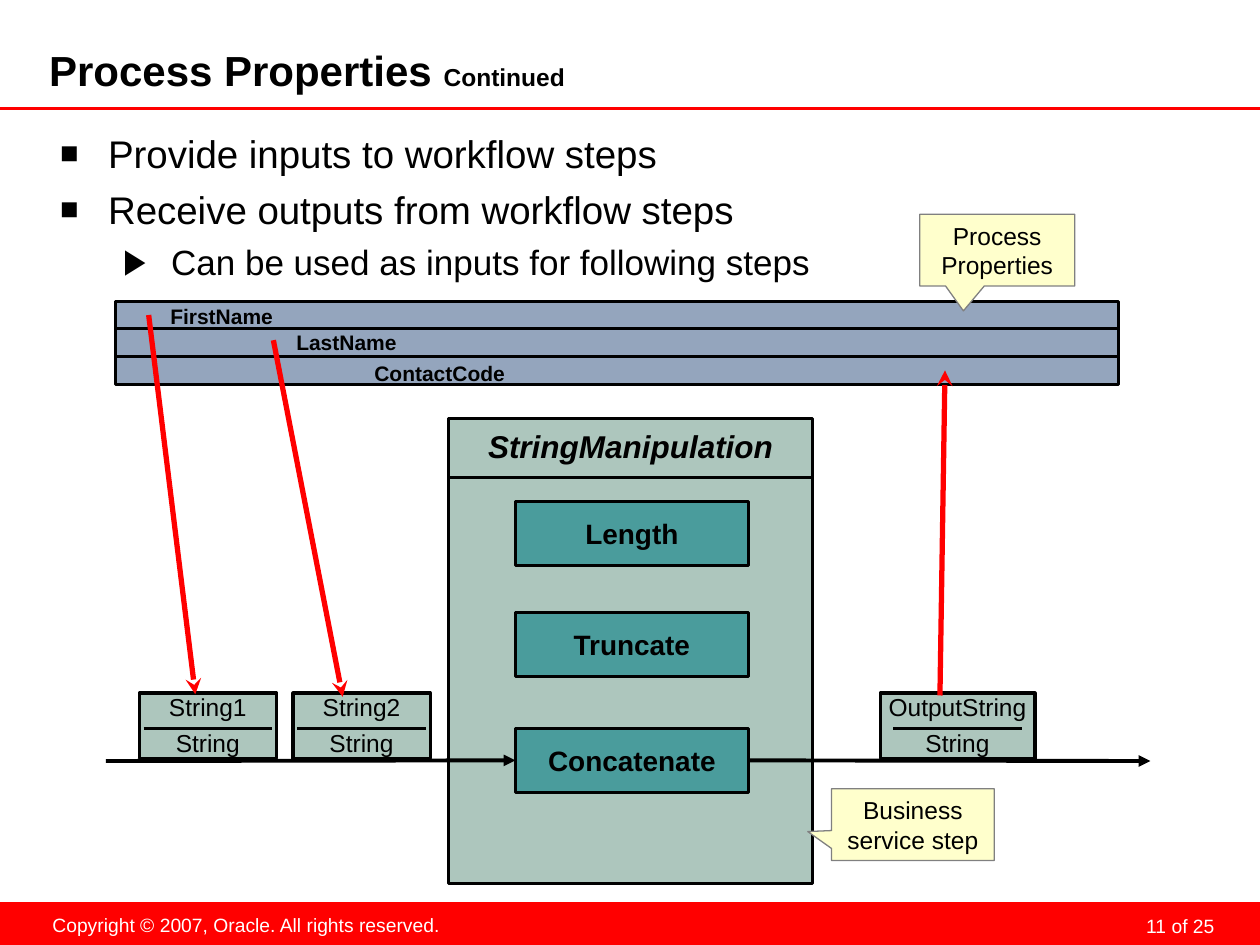
from dataclasses import dataclass

from lxml import etree
from pptx import Presentation
from pptx.dml.color import RGBColor
from pptx.enum.shapes import MSO_CONNECTOR, MSO_SHAPE
from pptx.enum.text import MSO_ANCHOR, PP_ALIGN
from pptx.oxml.ns import qn
from pptx.util import Inches, Pt

RECTANGLE = MSO_SHAPE.RECTANGLE
CALLOUT = MSO_SHAPE.RECTANGULAR_CALLOUT
STRAIGHT = MSO_CONNECTOR.STRAIGHT
LEFT, CENTER, RIGHT = PP_ALIGN.LEFT, PP_ALIGN.CENTER, PP_ALIGN.RIGHT
TOP, MIDDLE = MSO_ANCHOR.TOP, MSO_ANCHOR.MIDDLE

FONT = "Arial"
BLACK, WHITE, RED = "000000", "FFFFFF", "FF0000"
BLUE, SAGE, TEAL = "94A5BD", "ADC6BD", "4A9C9C"
CREAM, GRAY = "FFFFCC", "808080"
LEFT_SIDE, RIGHT_SIDE = 1, 3


@dataclass
class Bullet:
    text: str
    size: float
    indent: float
    level: int
    mark: str
    mark_percent: int
    space_before: float


@dataclass
class ProcessProperty:
    name: str
    label_center: float
    label_top: float


@dataclass
class Variable:
    name: str
    center: float
    width: float


@dataclass
class Callout:
    text: str
    box: tuple[float, float, float, float]
    tip: tuple[float, float]


BULLETS = [
    Bullet("Provide inputs to workflow steps", 22, 0.38, 0, "■", 80, 0),
    Bullet("Receive outputs from workflow steps", 22, 0.38, 0, "■", 80, 5.5),
    Bullet("Can be used as inputs for following steps", 20, 0.88, 1, "▶", 100, 5),
]
PROPERTIES = [
    ProcessProperty("FirstName", 1.76, 2.36),
    ProcessProperty("LastName", 2.75, 2.57),
    ProcessProperty("ContactCode", 3.49, 2.81),
]
OPERATIONS = {"Length": 3.98, "Truncate": 4.86, "Concatenate": 5.78}
VARIABLES = [
    Variable("String1", 1.65, 1.09),
    Variable("String2", 2.87, 1.09),
    Variable("OutputString", 7.6, 1.23),
]
MAPPINGS = [
    ((1.18, 2.5), (1.55, 5.51)),
    ((2.17, 2.7), (2.72, 5.53)),
    ((7.46, 5.52), (7.5, 2.94)),
]
CALLOUTS = [
    Callout("Business service step", (6.6, 6.26, 1.29, 0.57), (-0.647, 0.097)),
    Callout("Process Properties", (7.3, 1.7, 1.23, 0.57), (-0.218, 0.847)),
]


def color(value: str) -> RGBColor:
    return RGBColor.from_string(value)


def style_font(font, size: float, ink: str = BLACK, bold: bool = False, italic: bool = False) -> None:
    font.name = FONT
    font.size = Pt(size)
    font.bold = bold
    font.italic = italic
    font.color.rgb = color(ink)


def set_insets(frame, left: float, top: float, right: float, bottom: float) -> None:
    frame.margin_left, frame.margin_top = Inches(left), Inches(top)
    frame.margin_right, frame.margin_bottom = Inches(right), Inches(bottom)


def write(frame, text: str, size: float, align=CENTER, **style) -> None:
    frame.word_wrap = True
    frame.text = text
    paragraph = frame.paragraphs[0]
    paragraph.alignment = align
    style_font(paragraph.runs[0].font, size, **style)


def add_label(slide, text: str, box: tuple, size: float, align=CENTER, **style):
    label = slide.shapes.add_textbox(*map(Inches, box))
    write(label.text_frame, text, size, align, **style)
    return label


def add_box(slide, box: tuple, fill: str, line: str = BLACK, weight: float = 1.75, kind=RECTANGLE):
    shape = slide.shapes.add_shape(kind, *map(Inches, box))
    shape.shadow.inherit = False
    shape.fill.solid()
    shape.fill.fore_color.rgb = color(fill)
    shape.line.color.rgb = color(line)
    shape.line.width = Pt(weight)
    return shape


def add_line(slide, start: tuple, end: tuple, ink: str = BLACK, weight: float = 1.75, head: str = ""):
    line = slide.shapes.add_connector(STRAIGHT, *map(Inches, (*start, *end)))
    line.line.color.rgb = color(ink)
    line.line.width = Pt(weight)
    if head:
        etree.SubElement(line.line._get_or_add_ln(), qn("a:tailEnd"), type=head)
    etree.SubElement(line._element.spPr, qn("a:effectLst"))
    return line


def add_bullet(paragraph, bullet: Bullet) -> None:
    paragraph.text = bullet.text
    paragraph.level = bullet.level
    properties = paragraph._p.get_or_add_pPr()
    properties.set("marL", str(Inches(bullet.indent)))
    properties.set("indent", str(Inches(-0.38)))
    mark_color = etree.SubElement(properties, qn("a:buClr"))
    etree.SubElement(mark_color, qn("a:srgbClr"), val=BLACK)
    etree.SubElement(properties, qn("a:buSzPct"), val=str(bullet.mark_percent * 1000))
    etree.SubElement(properties, qn("a:buFont"), typeface=FONT)
    etree.SubElement(properties, qn("a:buChar"), char=bullet.mark)
    paragraph.space_before = Pt(bullet.space_before)
    style_font(paragraph.runs[0].font, bullet.size)


def add_frame(slide) -> None:
    footer = add_box(slide, (0, 7.16, 10, 0.34), RED)
    footer.line.fill.background()
    number = add_label(slide, "11 of 25", (7.36, 7.19, 2.33, 0.25), 11, RIGHT, ink=WHITE)
    set_insets(number.text_frame, 0.05, 0, 0.05, 0)
    number.text_frame.paragraphs[0].line_spacing = Pt(18)
    notice = "Copyright © 2007, Oracle. All rights reserved."
    add_label(slide, notice, (0.31, 7.2, 3.29, 0.29), 11, ink=WHITE).text_frame.word_wrap = False
    add_line(slide, (0, 0.86), (10, 0.86), RED)


def add_heading(slide) -> None:
    title = add_label(slide, "Process Properties ", (0.39, 0.38, 7.87, 0.4), 24, LEFT, bold=True)
    title.text_frame.vertical_anchor = MIDDLE
    set_insets(title.text_frame, 0, 0, 0.05, 0.05)
    suffix = title.text_frame.paragraphs[0].add_run()
    suffix.text = "Continued"
    style_font(suffix.font, 14, bold=True)

    body = slide.shapes.add_textbox(*map(Inches, (0.38, 0.93, 9.3, 6.18))).text_frame
    body.word_wrap = True
    body.vertical_anchor = TOP
    set_insets(body, 0.1, 0.1, 0.1, 0.05)
    for index, bullet in enumerate(BULLETS):
        add_bullet(body.add_paragraph() if index else body.paragraphs[0], bullet)


def add_variable(slide, variable: Variable) -> None:
    center = variable.center
    add_box(slide, (center - variable.width / 2, 5.5, variable.width, 0.52), SAGE)
    for text, top in ((variable.name, 5.44), ("String", 5.73)):
        add_label(slide, text, (center - 0.68, top, 1.36, 0.34), 14)
    add_line(slide, (center - 0.51, 5.78), (center + 0.51, 5.78))


def add_service(slide) -> None:
    add_box(slide, (3.56, 3.32, 2.89, 3.69), SAGE)
    add_line(slide, (3.56, 3.79), (6.45, 3.79))
    add_label(slide, "StringManipulation", (3.7, 3.34, 2.61, 0.4), 18, bold=True, italic=True)
    operations = {}
    for name, top in OPERATIONS.items():
        operations[name] = add_box(slide, (4.09, top, 1.85, 0.51), TEAL)
        write(operations[name].text_frame, name, 16, bold=True)
    output = add_line(slide, (5.94, 6.04), (9.13, 6.04), weight=2.25, head="triangle")
    output.begin_connect(operations["Concatenate"], RIGHT_SIDE)
    entry = add_line(slide, (0.84, 6.04), (4.09, 6.04), weight=2.25, head="triangle")
    entry.end_connect(operations["Concatenate"], LEFT_SIDE)


def main() -> None:
    presentation = Presentation()
    presentation.slide_width, presentation.slide_height = Inches(10), Inches(7.5)
    slide = presentation.slides.add_slide(presentation.slide_layouts[6])
    add_frame(slide)
    add_heading(slide)
    for index in range(len(PROPERTIES)):
        add_box(slide, (0.92, 2.39 + 0.22 * index, 7.96, 0.22), BLUE)
    for item in PROPERTIES:
        add_label(slide, item.name, (item.label_center - 0.75, item.label_top, 1.5, 0.3), 12, bold=True)
    add_service(slide)
    for variable in VARIABLES:
        add_variable(slide, variable)
    for start, end in MAPPINGS:
        add_line(slide, start, end, RED, 3, "stealth")
    for callout in CALLOUTS:
        shape = add_box(slide, callout.box, CREAM, GRAY, 0.75, CALLOUT)
        shape.adjustments[0], shape.adjustments[1] = callout.tip
        write(shape.text_frame, callout.text, 14)
    presentation.save("out.pptx")


if __name__ == "__main__":
    main()
